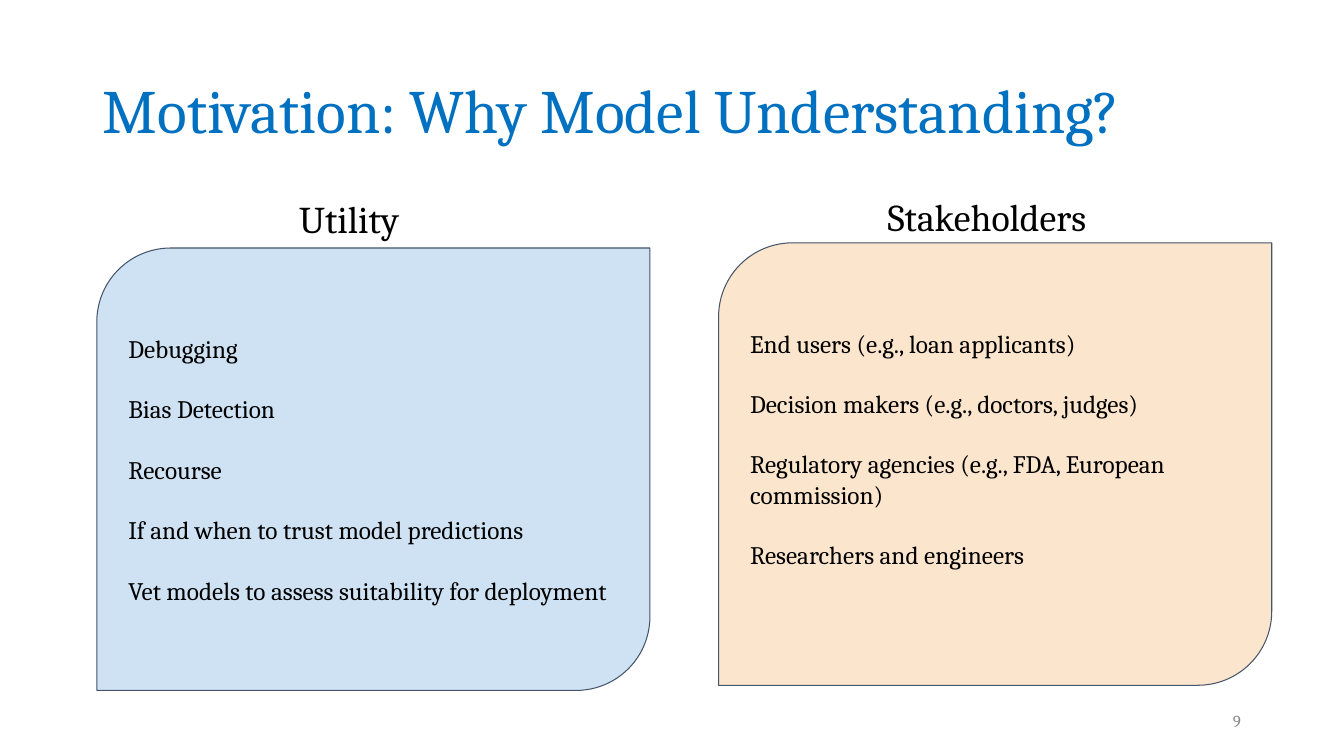
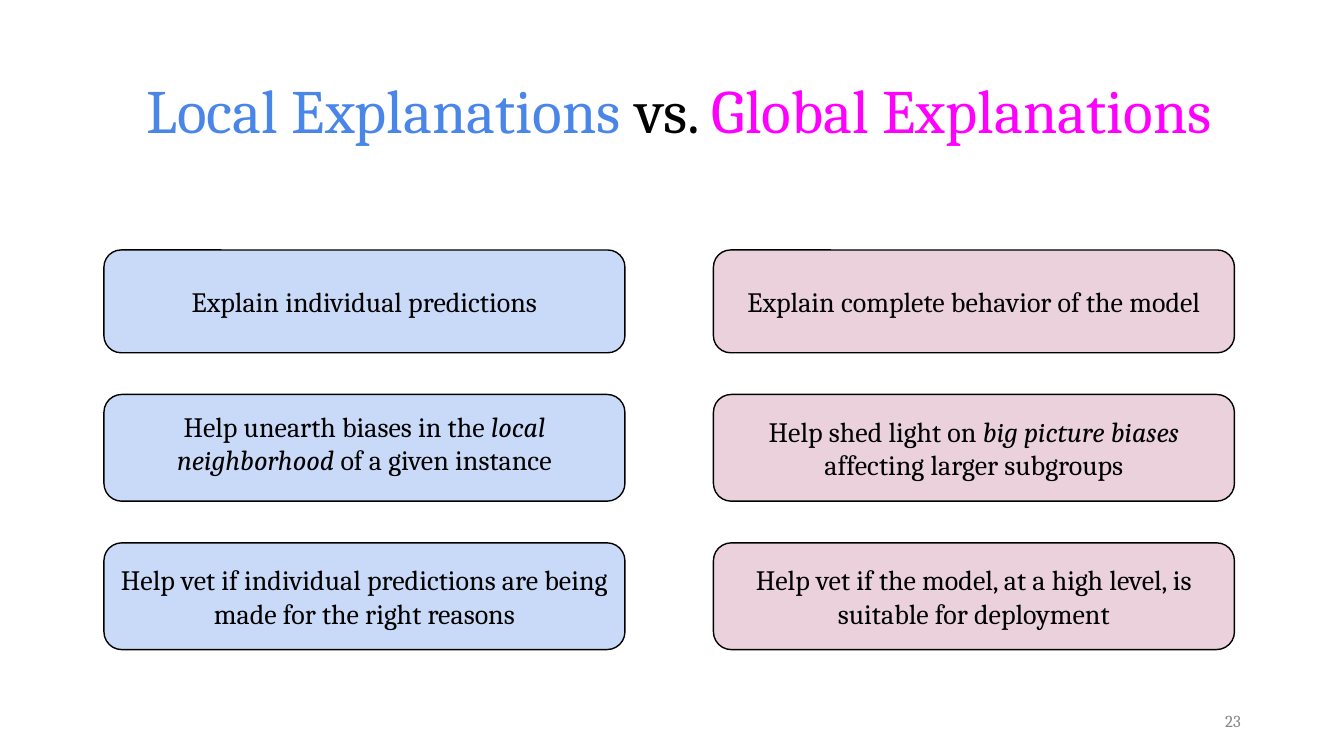
import dataclasses
import typing

import pptx
import pptx.dml.color
import pptx.enum.shapes
import pptx.enum.text
import pptx.util

Cm = pptx.util.Cm
Pt = pptx.util.Pt
Align = pptx.enum.text.PP_ALIGN
Anchor = pptx.enum.text.MSO_ANCHOR
Preset = pptx.enum.shapes.MSO_SHAPE

COLORS = {
    "black": "000000",
    "title": "0070C0",
    "local": "4A86E8",
    "global": "FF00FF",
    "page number": "888888",
    "panel line": "44546A",
    "utility": "CFE2F3",
    "stakeholders": "FCE5CD",
    "local card": "C9DAF8",
    "global card": "EAD1DC",
}
FONT = "Cambria"
TIGHT, ROOMY = 0.13, 0.25
CARD_WIDTH, CARD_TOP, CARD_GAP = 13.13, 6.3, 1.05
CARD_HEIGHTS = (2.59, 2.69, 2.69)


@dataclasses.dataclass(frozen=True)
class Span:
    text: str
    color: str = "black"
    italic: bool = False


@dataclasses.dataclass(frozen=True)
class Area:
    left: float
    top: float
    width: float
    height: float


@dataclasses.dataclass(frozen=True)
class TextStyle:
    size: float
    align: typing.Any = Align.LEFT
    anchor: typing.Any = Anchor.MIDDLE
    inset: float = TIGHT
    bottom: float = TIGHT
    gap: float = 0
    spacing: float = 1.0


@dataclasses.dataclass(frozen=True)
class Panel:
    heading: str
    heading_left: float
    heading_top: float
    area: Area
    fill: str
    items: tuple[str, ...]
    bottom: float = ROOMY


@dataclasses.dataclass(frozen=True)
class Card:
    spans: tuple[Span, ...]
    bottom: float = TIGHT


@dataclasses.dataclass(frozen=True)
class Column:
    left: float
    fill: str
    cards: tuple[Card, ...]


HEADING_STYLE = TextStyle(27, anchor=Anchor.TOP, inset=ROOMY, bottom=ROOMY)
NUMBER_STYLE = TextStyle(12, align=Align.RIGHT)
NUMBER_AREA = Area(23.9, 17.65, 7.62, 1.02)

PANELS = (
    Panel(
        "Utility", 7.29, 4.67, Area(2.44, 6.25, 13.94, 11.15), "utility",
        (
            "Debugging",
            "Bias Detection",
            "Recourse",
            "If and when to trust model predictions",
            "Vet models to assess suitability for deployment",
        ),
    ),
    Panel(
        "Stakeholders", 22.12, 4.62, Area(18.11, 6.12, 13.94, 11.15), "stakeholders",
        (
            "End users (e.g., loan applicants)",
            "Decision makers (e.g., doctors, judges)",
            "Regulatory agencies (e.g., FDA, European commission)",
            "Researchers and engineers",
        ),
        bottom=1.02,
    ),
)

COLUMNS = (
    Column(2.62, "local card", (
        Card((Span("Explain individual predictions"),)),
        Card((
            Span("Help unearth biases in the "),
            Span("local neighborhood", italic=True),
            Span(" of a given instance"),
        ), bottom=0.38),
        Card((Span("Help vet if individual predictions are being made for the right reasons"),)),
    )),
    Column(17.98, "global card", (
        Card((Span("Explain complete behavior of the model"),)),
        Card((
            Span("Help shed light on "),
            Span("big picture biases", italic=True),
            Span(" affecting larger subgroups"),
        )),
        Card((Span("Help vet if the model, at a high level, is suitable for deployment"),)),
    )),
)


def rgb(name: str) -> pptx.dml.color.RGBColor:
    return pptx.dml.color.RGBColor.from_string(COLORS[name])


def apply_format(target: typing.Any, values: dict[str, typing.Any]) -> None:
    for name, value in values.items():
        setattr(target, name, value)


def lengths(area: Area) -> tuple[int, ...]:
    return tuple(Cm(value) for value in dataclasses.astuple(area))


def write(box: typing.Any, paras: typing.Sequence[typing.Sequence[Span]], style: TextStyle) -> None:
    frame = box.text_frame
    apply_format(frame, {
        "word_wrap": True,
        "auto_size": pptx.enum.text.MSO_AUTO_SIZE.NONE,
        "vertical_anchor": style.anchor,
        "margin_left": Cm(ROOMY),
        "margin_right": Cm(ROOMY),
        "margin_top": Cm(style.inset),
        "margin_bottom": Cm(style.bottom),
    })
    for index, spans in enumerate(paras):
        para = frame.add_paragraph() if index else frame.paragraphs[0]
        apply_format(para, {
            "alignment": style.align,
            "line_spacing": style.spacing,
            "space_before": Pt(style.gap if index else 0),
        })
        for span in spans:
            run = para.add_run()
            run.text = span.text
            apply_format(run.font, {"name": FONT, "size": Pt(style.size), "italic": span.italic})
            run.font.color.rgb = rgb(span.color)


def add_text(page: typing.Any, area: Area, span: Span, style: TextStyle) -> None:
    write(page.shapes.add_textbox(*lengths(area)), [[span]], style)


def add_box(page: typing.Any, preset: typing.Any, area: Area, fill: str,
            line: str, line_width: float) -> typing.Any:
    box = page.shapes.add_shape(preset, *lengths(area))
    box.shadow.inherit = False
    box.adjustments[0] = 0.167
    box.fill.solid()
    box.fill.fore_color.rgb = rgb(fill)
    box.line.color.rgb = rgb(line)
    box.line.width = Pt(line_width)
    return box


def add_page(deck: typing.Any, title_area: Area, title: typing.Sequence[Span],
             align: typing.Any, number: int) -> typing.Any:
    page = deck.slides.add_slide(deck.slide_layouts.get_by_name("Title Only"))
    box = page.shapes.title
    apply_format(box, dict(zip(("left", "top", "width", "height"), lengths(title_area))))
    write(box, [title], TextStyle(44, align=align, spacing=0.9))
    add_text(page, NUMBER_AREA, Span(str(number), "page number"), NUMBER_STYLE)
    return page


def add_panel(page: typing.Any, panel: Panel) -> None:
    box = add_box(page, Preset.ROUND_2_DIAG_RECTANGLE, panel.area, panel.fill, "panel line", 0.75)
    style = TextStyle(18, inset=ROOMY, bottom=panel.bottom, gap=21.6)
    write(box, [[Span(item)] for item in panel.items], style)
    heading_area = Area(panel.heading_left, panel.heading_top, 10, 2)
    add_text(page, heading_area, Span(panel.heading), HEADING_STYLE)


def add_column(page: typing.Any, column: Column) -> None:
    top = CARD_TOP
    for card, height in zip(column.cards, CARD_HEIGHTS):
        area = Area(column.left, top, CARD_WIDTH, height)
        box = add_box(page, Preset.ROUNDED_RECTANGLE, area, column.fill, "black", 1)
        write(box, [card.spans], TextStyle(20, align=Align.CENTER, bottom=card.bottom))
        top += height + CARD_GAP


def main() -> None:
    deck = pptx.Presentation()
    apply_format(deck, {"slide_width": Cm(33.87), "slide_height": Cm(19.05)})

    motivation = add_page(
        deck, Area(2.34, 1.02, 29.21, 3.68),
        [Span("Motivation: Why Model Understanding?", "title")], Align.LEFT, 9,
    )
    for panel in PANELS:
        add_panel(motivation, panel)

    comparison = add_page(
        deck, Area(1.98, 1.02, 30.28, 3.68),
        [Span("Local Explanations", "local"), Span(" vs. "), Span("Global Explanations", "global")],
        Align.CENTER, 23,
    )
    for column in COLUMNS:
        add_column(comparison, column)

    deck.save("out.pptx")


if __name__ == "__main__":
    main()
